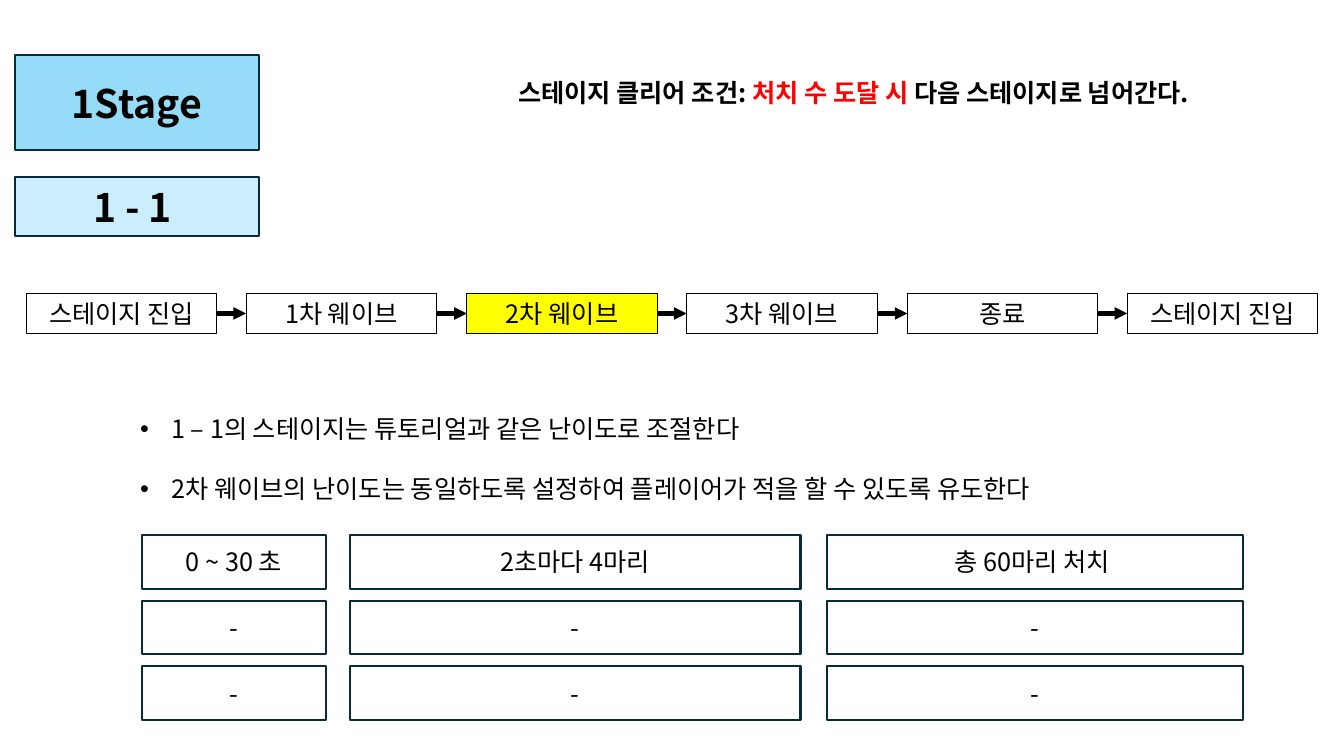
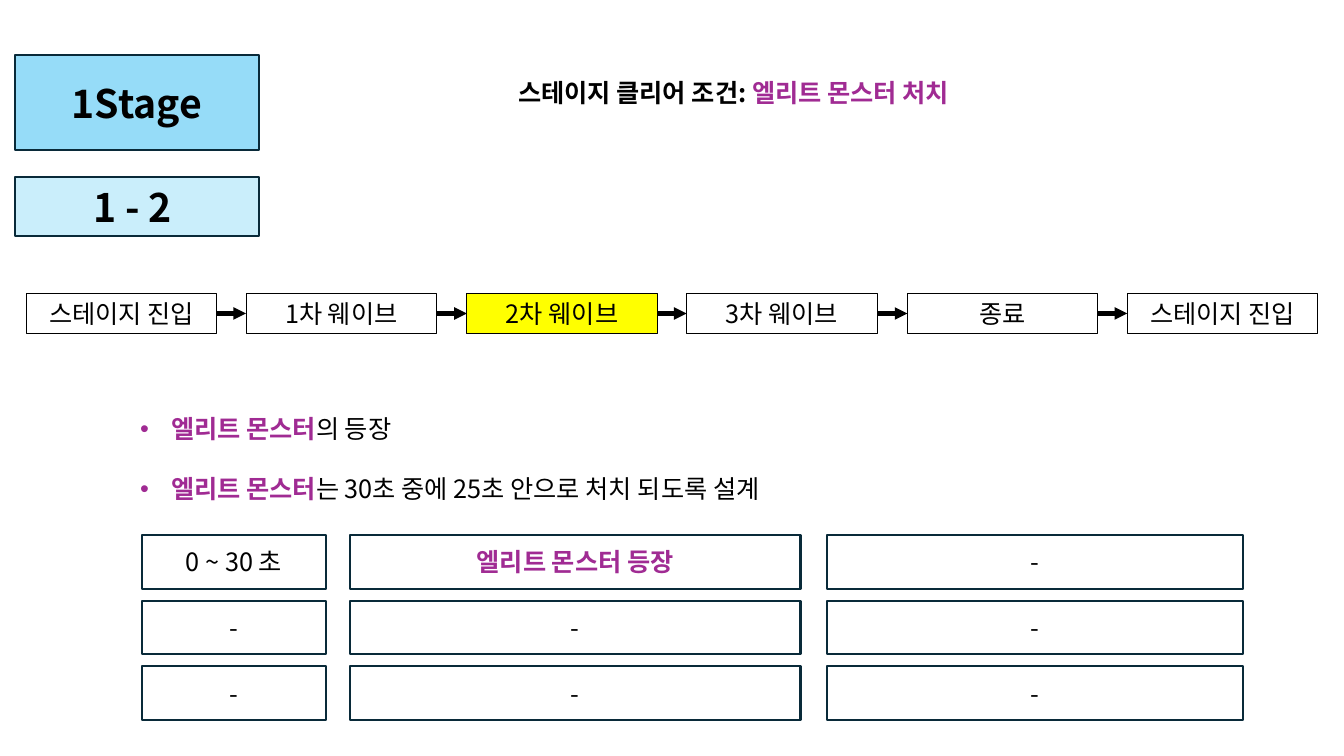
from dataclasses import dataclass
from typing import NamedTuple

from lxml import etree
from pptx import Presentation
from pptx.dml.color import RGBColor
from pptx.enum.shapes import MSO_CONNECTOR, MSO_SHAPE
from pptx.enum.text import MSO_ANCHOR, PP_ALIGN
from pptx.oxml.ns import qn
from pptx.util import Emu, Pt

PX = 9144  # EMU per px, 100 px to the inch
FONT = "Noto Sans CJK KR"

BLACK = RGBColor(0x00, 0x00, 0x00)
RED = RGBColor(0xFF, 0x00, 0x00)
PURPLE = RGBColor(0xA0, 0x2B, 0x93)
YELLOW = RGBColor(0xFF, 0xFF, 0x00)
NAVY = RGBColor(0x09, 0x2A, 0x39)
SKY = RGBColor(0x96, 0xDC, 0xF8)
PALE_SKY = RGBColor(0xCA, 0xEE, 0xFB)

STEPS = ["스테이지 진입", "1차 웨이브", "2차 웨이브", "3차 웨이브", "종료", "스테이지 진입"]
CURRENT_STEP = 2
STEP_LEFT, STEP_LAST, STEP_TOP, STEP_W, STEP_H = 26, 1118, 291, 189, 40

GRID_COLUMNS = [(141, 182), (347, 447), (820, 413)]  # left, width
GRID_TOP, GRID_ROW_H, GRID_PITCH, GRID_ROWS = 531, 53, 65, 3


class Span(NamedTuple):
    text: str
    color: RGBColor = BLACK
    bold: bool = False


class Box(NamedTuple):
    left: int
    top: int
    width: int
    height: int

    def emu(self) -> list[Emu]:
        return [Emu(v * PX) for v in self]


@dataclass
class Stage:
    name: str
    condition: list[Span]
    notes: list[list[Span]]
    first_row: list[Span]


ELITE = Span("엘리트 몬스터", PURPLE, True)
CONDITION = Span("스테이지 클리어 조건: ", bold=True)

STAGES = [
    Stage(
        "1 - 1 ",
        [CONDITION, Span("처치 수 도달 시 ", RED, True),
         Span("다음 스테이지로 넘어간다.", bold=True)],
        [[Span("1 – 1의 스테이지는 튜토리얼과 같은 난이도로 조절한다")],
         [Span("2차 웨이브의 난이도는 동일하도록 설정하여 플레이어가 적을 할 수 있도록 유도한다")]],
        [Span("0 ~ 30 초"), Span("2초마다 4마리"), Span("총 60마리 처치 ")],
    ),
    Stage(
        "1 - 2 ",
        [CONDITION, Span("엘리트 몬스터 처치", PURPLE, True)],
        [[ELITE, Span("의 등장")],
         [ELITE, Span("는 30초 중에 25초 안으로 처치 되도록 설계")]],
        [Span("0 ~ 30 초"), Span("엘리트 몬스터 등장", PURPLE, True), Span("-")],
    ),
]


def add_bullet(p) -> None:
    pPr = p._p.get_or_add_pPr()
    pPr.set("marL", str(31 * PX))
    pPr.set("indent", str(-31 * PX))
    etree.SubElement(pPr, qn("a:buFont")).set("typeface", "Arial")
    etree.SubElement(pPr, qn("a:buChar")).set("char", "•")


def write(tf, paragraphs: list[list[Span]], *, size: int = 18,
          align: PP_ALIGN = PP_ALIGN.LEFT, anchor: MSO_ANCHOR = MSO_ANCHOR.TOP,
          bullet: bool = False, spacing: float | None = None) -> None:
    tf.word_wrap = True
    tf.vertical_anchor = anchor
    for i, spans in enumerate(paragraphs):
        p = tf.add_paragraph() if i else tf.paragraphs[0]
        if bullet:
            add_bullet(p)
        p.alignment = align
        p.line_spacing = spacing
        for span in spans:
            r = p.add_run()
            r.text = span.text
            r.font.size = Pt(size)
            r.font.bold = span.bold
            r.font.color.rgb = span.color
            r.font.name = FONT
            etree.SubElement(r.font._element, qn("a:ea")).set("typeface", FONT)


def add_box(s, box: Box, span: Span, *, fill: RGBColor | None = None,
            line: RGBColor = NAVY, weight: float = 1.5, size: int = 18) -> None:
    sp = s.shapes.add_shape(MSO_SHAPE.RECTANGLE, *box.emu())
    sp.shadow.inherit = False
    if fill is None:
        sp.fill.background()
    else:
        sp.fill.solid()
        sp.fill.fore_color.rgb = fill
    sp.line.color.rgb = line
    sp.line.width = Pt(weight)
    write(sp.text_frame, [[span]], size=size, align=PP_ALIGN.CENTER,
          anchor=MSO_ANCHOR.MIDDLE)


def add_text(s, box: Box, paragraphs: list[list[Span]], **style) -> None:
    write(s.shapes.add_textbox(*box.emu()).text_frame, paragraphs, **style)


def add_arrow(s, x1: int, x2: int, y: int) -> None:
    ends = [Emu(v * PX) for v in (x1, y, x2, y)]
    c = s.shapes.add_connector(MSO_CONNECTOR.STRAIGHT, *ends)
    c.line.color.rgb = BLACK
    c.line.width = Pt(3)
    etree.SubElement(c.line._get_or_add_ln(), qn("a:tailEnd")).set("type", "triangle")
    etree.SubElement(c._element.spPr, qn("a:effectLst"))


def add_flow(s) -> None:
    gaps = len(STEPS) - 1
    lefts = [STEP_LEFT + round(i * (STEP_LAST - STEP_LEFT) / gaps)
             for i in range(len(STEPS))]
    for i, (left, label) in enumerate(zip(lefts, STEPS)):
        add_box(s, Box(left, STEP_TOP, STEP_W, STEP_H), Span(label),
                fill=YELLOW if i == CURRENT_STEP else None, line=BLACK, weight=0.75)
    for left, following in zip(lefts, lefts[1:]):
        add_arrow(s, left + STEP_W, following, STEP_TOP + STEP_H // 2)


def add_grid(s, first_row: list[Span]) -> None:
    for (left, width), heading in zip(GRID_COLUMNS, first_row):
        for row in range(GRID_ROWS):
            box = Box(left, GRID_TOP + row * GRID_PITCH, width, GRID_ROW_H)
            add_box(s, box, Span("-") if row else heading)


def add_stage(prs, stage: Stage) -> None:
    s = prs.slides.add_slide(prs.slide_layouts[6])
    add_box(s, Box(15, 55, 242, 94), Span("1Stage", bold=True), fill=SKY, size=28)
    add_box(s, Box(15, 176, 242, 58), Span(stage.name, bold=True),
            fill=PALE_SKY, size=28)
    add_text(s, Box(504, 72, 796, 40), [stage.condition])
    add_flow(s)
    add_text(s, Box(129, 375, 1092, 122), stage.notes, bullet=True, spacing=2.0)
    add_grid(s, stage.first_row)


def main() -> None:
    prs = Presentation()
    prs.slide_width, prs.slide_height = Emu(1333 * PX), Emu(750 * PX)
    for stage in STAGES:
        add_stage(prs, stage)
    prs.save("out.pptx")


if __name__ == "__main__":
    main()
